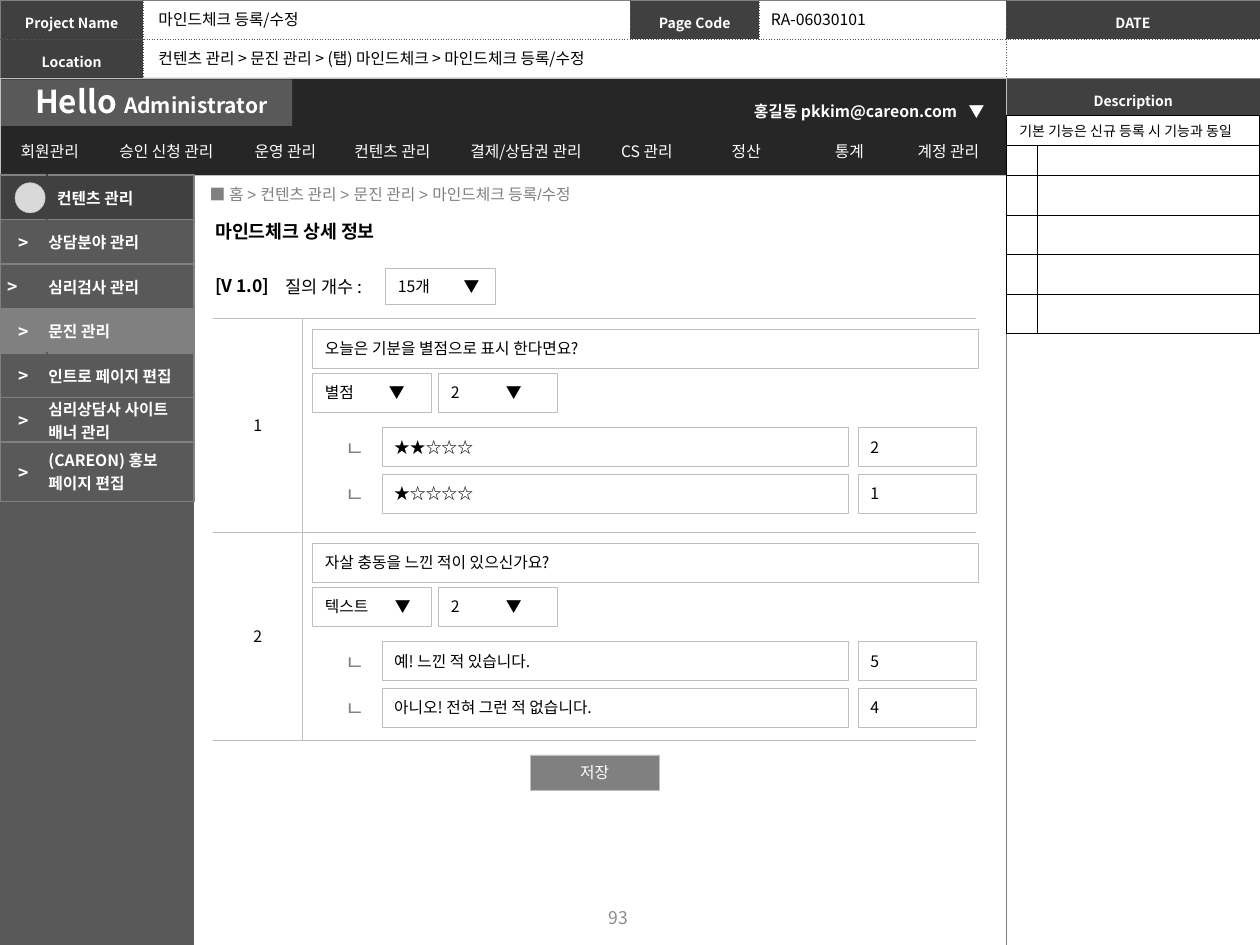
"""Build the admin wireframe page for editing a mind check questionnaire."""
import pptx
import pptx.util
import pptx.dml.color
import pptx.enum.dml
import pptx.enum.shapes
import pptx.enum.text
import pptx.oxml.ns
import lxml.etree

Pt = pptx.util.Pt
RGB = pptx.dml.color.RGBColor.from_string
SHAPE = pptx.enum.shapes.MSO_SHAPE
ALIGN = pptx.enum.text.PP_ALIGN
MID = pptx.enum.text.MSO_ANCHOR.MIDDLE
TOP = pptx.enum.text.MSO_ANCHOR.TOP
GROW = pptx.enum.text.MSO_AUTO_SIZE.SHAPE_TO_FIT_TEXT
qn = pptx.oxml.ns.qn


class Theme:
    font, plain = "Noto Sans CJK KR", "Arial"
    white, black = "FFFFFF", "000000"
    night, dark, slate, gray = "262626", "404040", "595959", "808080"
    page, rule, dot = "8C8C8C", "BFBFBF", "D9D9D9"
    tiny, small, base, head, mark, logo = 8, 9, 10, 10.5, 12, 18


def write(box, parts, color=Theme.black, bold=False, align=ALIGN.LEFT,
          space=None, face=Theme.font, tab=None, **opts):
    for key, value in opts.items():
        setattr(box, key, value)
    para = getattr(box, "text_frame", box).paragraphs[0]
    para.alignment = align
    if space:
        para.line_spacing = space
    if tab:
        stops = lxml.etree.SubElement(para._p.get_or_add_pPr(), qn("a:tabLst"))
        lxml.etree.SubElement(stops, qn("a:tab"), pos=str(Pt(tab)), algn="l")
    for text, size in parts:
        run = para.add_run()
        run.text = text
        for key, value in {"name": face, "size": Pt(size), "bold": bold}.items():
            setattr(run.font, key, value)
        run.font.color.rgb = RGB(color)
        lxml.etree.SubElement(run._r.get_or_add_rPr(), qn("a:ea"), typeface=Theme.font)


def grid(left, top, cols, rows, fills, edge, side, across, down):
    frame = slide.shapes.add_table(len(rows), len(cols), Pt(left), Pt(top),
                                   Pt(sum(cols)), Pt(sum(rows)))
    table = frame.table
    table.first_row = table.horz_banding = False
    for col, width in zip(table.columns, cols):
        col.width = Pt(width)
    for r, height in enumerate(rows):
        table.rows[r].height = Pt(height)
        for c in range(len(cols)):
            cell, fill = table.cell(r, c), fills[r][c]
            prop = cell._tc.get_or_add_tcPr()
            for name, line in {"L": down if c else side,
                               "R": down if c < len(cols) - 1 else side,
                               "T": across if r else edge,
                               "B": across if r < len(rows) - 1 else edge}.items():
                color, width, dash = line or (None, 0, "solid")
                ln = lxml.etree.SubElement(prop, qn("a:ln" + name), w=str(Pt(width)))
                if line:
                    paint = lxml.etree.SubElement(ln, qn("a:solidFill"))
                    lxml.etree.SubElement(paint, qn("a:srgbClr"), val=color or fill)
                    lxml.etree.SubElement(ln, qn("a:prstDash"), val=dash)
                else:
                    lxml.etree.SubElement(ln, qn("a:noFill"))
            if fill:
                cell.fill.solid()
                cell.fill.fore_color.rgb = RGB(fill)
            else:
                cell.fill.background()
            lxml.etree.SubElement(cell.text_frame.paragraphs[0]._p,
                                  qn("a:endParaRPr"), sz=str(Theme.tiny * 100))
    return table


deck = pptx.Presentation()
deck.slide_width, deck.slide_height = Pt(720), Pt(540)
slide = deck.slides.add_slide(deck.slide_layouts[5])

title = slide.shapes.title
for key, value in {"left": 115.9, "top": 122.4, "width": 117.4, "height": 20.2}.items():
    setattr(title, key, Pt(value))
write(title.text_frame, [("마인드체크 상세 정보", Theme.head)], bold=True,
      word_wrap=False, auto_size=GROW, vertical_anchor=TOP)

solid, dots = (Theme.gray, 0.5, "solid"), (Theme.slate, 0.5, "sysDot")
label = {"color": Theme.white, "bold": True, "align": ALIGN.CENTER, "space": 1.3,
         "vertical_anchor": MID, "margin_top": Pt(2.9), "margin_bottom": Pt(2.9),
         "margin_left": Pt(2.9), "margin_right": Pt(2.9)}
top = grid(0, 0, [82, 278, 74, 141, 145], [22.3] * 2,
           [[Theme.dark, None, Theme.dark, None, Theme.dark], [Theme.dark] + [None] * 4],
           solid, solid, dots, dots)
top.cell(1, 1).merge(top.cell(1, 3))
for r, c, text in [(0, 0, "Project Name"), (0, 2, "Page Code"), (0, 4, "DATE"),
                   (1, 0, "Location")]:
    write(top.cell(r, c), [(text, Theme.tiny)], **label)
info = grid(575.3, 44.6, [144.7], [22.3, 473.1], [[Theme.dark], [None]],
            solid, solid, dots, None)
write(info.cell(0, 0), [("Description", Theme.tiny)], **label)

field = {"fill": Theme.white, "line": Theme.rule}
blocks = [
    ("오늘은 기분을 별점으로 표시 한다면요?", "별점", 36.5, [("★★☆☆☆", "2"), ("★☆☆☆☆", "1")]),
    ("자살 충동을 느낀 적이 있으신가요?", "텍스트", 40,
     [("예! 느낀 적 있습니다.", "5"), ("아니오! 전혀 그런 적 없습니다.", "4")]),
]
bars = [(0, 44.6, 575.3, 55.4, Theme.night, Theme.rule, "", None),
        (0.7, 45.4, 166.3, 26.6, Theme.slate, None, "", None),
        (0, 99.4, 110.9, 440.6, Theme.slate, None, "", None),
        (303.1, 431.3, 73.4, 20.2, Theme.gray, Theme.rule, "저장", None),
        (220.3, 153.4, 62.6, 20.2, Theme.white, Theme.rule, "15개\t▼", 37.6)]
for left, y, width, height, fill, line, text, tab in bars:
    shape = slide.shapes.add_shape(SHAPE.RECTANGLE, Pt(left), Pt(y), Pt(width), Pt(height))
    shape.shadow.inherit = False
    shape.fill.solid()
    shape.fill.fore_color.rgb = RGB(fill)
    if line:
        shape.line.color.rgb = RGB(line)
        shape.line.width = Pt(0.25)
    else:
        shape.line.fill.background()
    if text:
        write(shape.text_frame, [(text, Theme.small)], tab=tab, vertical_anchor=MID,
              color=Theme.black if tab else Theme.white,
              align=ALIGN.LEFT if tab else ALIGN.CENTER)

thin = (Theme.rule, 0.5, "solid")
quiz = grid(121.7, 181.7, [51.1, 385.2], [122.4, 118.8], [[Theme.white, None]] * 2,
            thin, None, thin, thin)
notes = []
for n, (ask, kind, tab, picks) in enumerate(blocks):
    write(quiz.cell(n, 0), [(str(n + 1), Theme.small)], align=ALIGN.CENTER,
          vertical_anchor=MID)
    y = 187.9 + 122.4 * n
    cells = [(178.6, y, 380.2, ask, None), (178.6, y + 25.2, 67.7, kind + "\t▼", tab),
             (250.6, y + 25.2, 67.7, "2\t▼", 31.4)]
    for k, (pick, score) in enumerate(picks):
        row = y + 56.2 + 26.6 * k
        cells += [(218.2, row, 266.4, pick, None), (490.3, row, 67.7, score, None)]
        notes.append((190.1, y + 57.6 + 26 * k, 26.6, 21.6, [("ㄴ", Theme.mark)],
                      {"color": Theme.gray}))
    for left, spot, width, text, stop in cells:
        shape = slide.shapes.add_shape(SHAPE.RECTANGLE, Pt(left), Pt(spot), Pt(width), Pt(22.3))
        shape.shadow.inherit = False
        for paint, color in ((shape.fill, Theme.white), (shape.line.fill, Theme.rule)):
            paint.solid()
            paint.fore_color.rgb = RGB(color)
        shape.line.width = Pt(0.25)
        write(shape.text_frame, [(text, Theme.small)], tab=stop, vertical_anchor=MID)

admin = {"color": Theme.white, "bold": True}
notes += [
    (13, 43.2, 150.5, 28.8, [("Hello ", Theme.logo), ("Administrator", Theme.mark)], admin),
    (419, 52.6, 139.7, 18.7, [("홍길동 pkkim@careon.com", Theme.small)],
     {**admin, "align": ALIGN.CENTER, "space": 1.2}),
    (546.5, 52.6, 23.8, 18.7, [("▼", Theme.small)], {**admin, "space": 1.2}),
    (112.8, 98.6, 440, 24.5,
     [("■ 홈 > 컨텐츠 관리 > 문진 관리 > 마인드체크 등록/수정", Theme.small)],
     {"color": Theme.gray, "face": Theme.plain, "vertical_anchor": MID, "word_wrap": True,
      "auto_size": None}),
    (156.2, 154.1, 64.1, 19.4, [("질의 개수 :", Theme.base)], {}),
    (115.9, 153.4, 46.8, 19.4, [("[V 1.0]", Theme.base)], {"bold": True}),
    (83.5, 2.2, 103, 18, [("마인드체크 등록/수정", Theme.small)], {}),
    (433.4, 2.2, 70.6, 18, [("RA-06030101", Theme.small)], {}),
    (83.5, 24.5, 292.3, 18,
     [("컨텐츠 관리 > 문진 관리 > (탭) 마인드체크 > 마인드체크 등록/수정", Theme.small)], {}),
    (269.3, 509.8, 167.8, 28.8, [("93", Theme.base)],
     {"color": Theme.page, "align": ALIGN.CENTER, "vertical_anchor": MID,
      "word_wrap": True, "auto_size": None}),
]
for left, y, width, height, parts, form in notes:
    box = slide.shapes.add_textbox(Pt(left), Pt(y), Pt(width), Pt(height))
    write(box.text_frame, parts, **{"word_wrap": False, "auto_size": GROW, **form})

tabs = ["회원관리", "승인 신청 관리", "운영 관리", "컨텐츠 관리", "결제/상담권 관리",
        "CS 관리", "정산", "통계", "계정 관리"]
edge = (Theme.night, 1, "solid")
nav = grid(1.4, 74.9, [54, 79.2, 56.9, 65.5, 87.1, 51.1, 62.6, 55.4, 57.6], [22.3],
           [[None] * len(tabs)], edge, edge, edge, edge)
for c, text in enumerate(tabs):
    write(nav.cell(0, c), [(text, Theme.small)], color=Theme.white, align=ALIGN.CENTER,
          vertical_anchor=MID, margin_left=0, margin_right=0)

items = ["컨텐츠 관리", "상담분야 관리", "심리검사 관리", "문진 관리", "인트로 페이지 편집",
         "심리상담사 사이트 배너 관리", "(CAREON) 홍보 페이지 편집"]
tones = [Theme.dark] + [Theme.slate] * 6
tones[3] = Theme.gray
edge = (Theme.gray, 1, "solid")
menu = grid(0, 100.1, [27, 83.9], [25.4] * 6 + [34], [[tone] * 2 for tone in tones],
            edge, edge, edge, (None, 1, "solid"))
slim = {**admin, "vertical_anchor": MID, "margin_top": 0, "margin_bottom": 0}
for r, text in enumerate(items):
    if r:
        write(menu.cell(r, 0), [(">", Theme.base)], align=ALIGN.CENTER, margin_left=Pt(0.7),
              margin_right=Pt(13 if r == 2 else 0.7), **slim)
    write(menu.cell(r, 1), [(text, Theme.small)], margin_left=Pt(0.7 if r else 5.7),
          margin_right=Pt(0.7), **slim)

icon = slide.shapes.add_shape(SHAPE.OVAL, Pt(8.6), Pt(104.4), Pt(17.3), Pt(17.3))
icon.shadow.inherit = False
icon.fill.solid()
icon.fill.fore_color.rgb = RGB(Theme.dot)
icon.line.color.rgb = RGB(Theme.rule)
icon.line.width = Pt(0.25)

edge = (Theme.black, 0.5, "solid")
memo = grid(575.3, 66.2, [17, 127], [17.1] * 2 + [22.6] * 4, [[Theme.white] * 2] * 6,
            edge, edge, edge, edge)
memo.cell(0, 0).merge(memo.cell(0, 1))
write(memo.cell(0, 0), [("기본 기능은 신규 등록 시 기능과 동일", Theme.tiny)],
      vertical_anchor=MID, margin_top=Pt(2), margin_bottom=Pt(2), margin_right=0)

deck.save("out.pptx")
